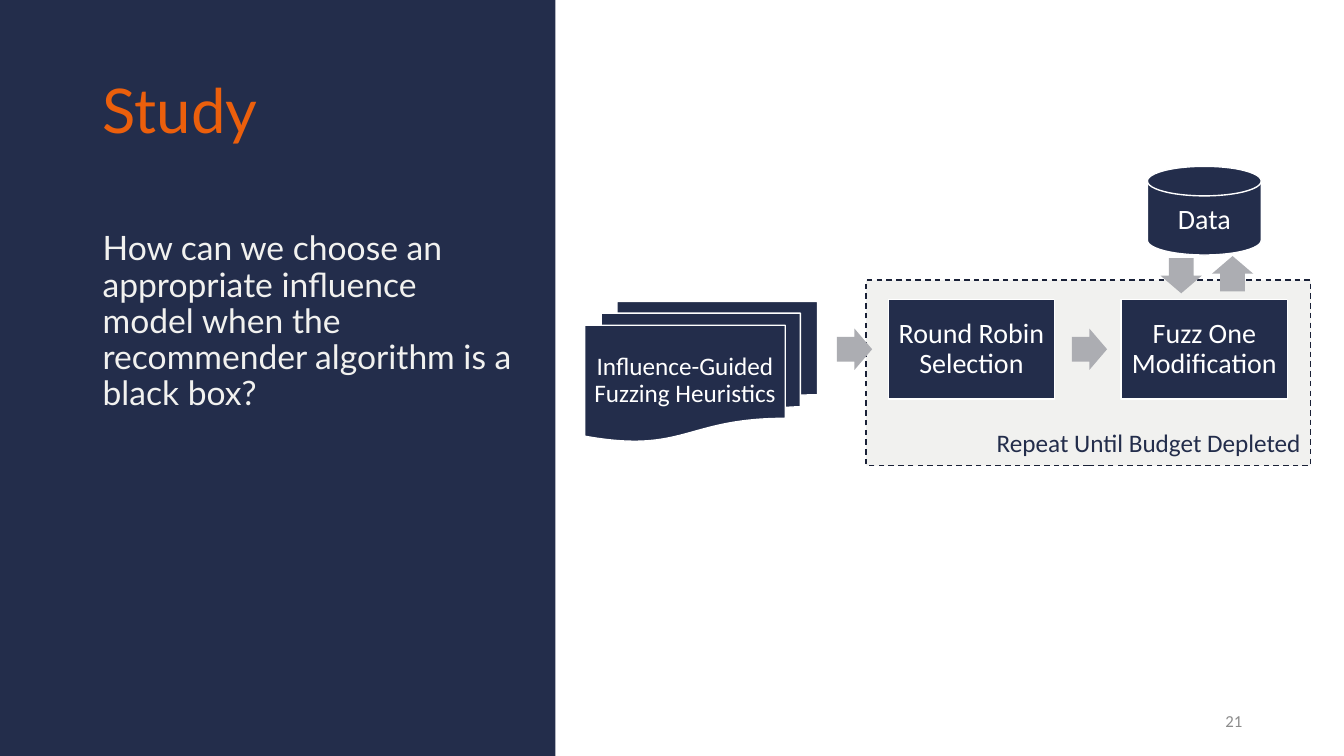
from dataclasses import dataclass

from pptx import Presentation
from pptx.dml.color import RGBColor
from pptx.enum.dml import MSO_LINE
from pptx.enum.shapes import MSO_SHAPE as Shape
from pptx.enum.text import MSO_ANCHOR as Anchor, PP_ALIGN as Align
from pptx.util import Pt

PX = 9144  # 100 px to the inch


@dataclass(frozen=True)
class Theme:
    navy: str = "232D4B"
    outline: str = "1A2137"
    orange: str = "EB5F0C"
    pale: str = "F1F1EF"
    white: str = "FFFFFF"
    arrow: str = "ACADB2"
    muted: str = "8C8C8C"
    heading_font: str = "Lato"
    body_font: str = "Calibri"
    title_size: int = 44
    question_size: int = 24
    step_size: int = 20
    label_size: int = 18
    number_size: int = 12


THEME = Theme()


def emu(*lengths):
    return [length * PX for length in lengths]


def write_text(shape, text, size, color, font=THEME.body_font, align=Align.CENTER,
               anchor=Anchor.MIDDLE, inset=(10, 5), line_spacing=None, space_before=0):
    frame = shape.text_frame
    frame.word_wrap = True
    frame.vertical_anchor = anchor
    frame.margin_left = frame.margin_right = inset[0] * PX
    frame.margin_top = frame.margin_bottom = inset[1] * PX
    paragraph = frame.paragraphs[0]
    paragraph.alignment = align
    paragraph.line_spacing = line_spacing
    paragraph.space_before = Pt(space_before)
    run = paragraph.add_run()
    run.text = text
    run.font.name = font
    run.font.size = Pt(size)
    run.font.color.rgb = RGBColor.from_string(color)


def add_text(slide, box, text, size, color, **text_format):
    write_text(slide.shapes.add_textbox(*emu(*box)), text, size, color, **text_format)


def add_block(slide, kind, box, fill, line=None):
    shape = slide.shapes.add_shape(kind, *emu(*box))
    shape.shadow.inherit = False
    shape.fill.solid()
    shape.fill.fore_color.rgb = RGBColor.from_string(fill)
    if line:
        shape.line.color.rgb = RGBColor.from_string(line)
        shape.line.width = Pt(1)
    else:
        shape.line.fill.background()
    return shape


def add_arrow(slide, left, top, rotation=0):
    arrow = add_block(slide, Shape.RIGHT_ARROW, (left, top, 35, 41), THEME.arrow)
    arrow.adjustments[0] = 0.6
    arrow.adjustments[1] = 0.5
    arrow.rotation = rotation


def add_node(slide, kind, box, text, size=THEME.step_size, **text_format):
    node = add_block(slide, kind, box, THEME.navy, THEME.white)
    write_text(node, text, size, THEME.white, **text_format)


def add_question_panel(slide, left, top, width, height):
    add_block(slide, Shape.RECTANGLE, (left, top, width, height), THEME.navy)
    add_text(slide, (left + 92, top + 40, 433, 145), "Study", THEME.title_size,
             THEME.orange, font=THEME.heading_font, align=Align.LEFT, line_spacing=0.9)
    add_text(slide, (left + 92, top + 225, 430, 417),
             "How can we choose an appropriate influence model when the "
             "recommender algorithm is a black box?",
             THEME.question_size, THEME.pale, font=THEME.heading_font, align=Align.LEFT,
             anchor=Anchor.TOP, line_spacing=0.9, space_before=10)


def add_budget_loop(slide, left, top, width, height):
    """Dashed frame holding the two repeated steps, with the data store above."""
    frame = add_block(slide, Shape.RECTANGLE, (left, top, width, height),
                      THEME.pale, THEME.outline)
    frame.line.dash_style = MSO_LINE.DASH
    step_left, step_top, step_pitch = left + 22, top + 19, 231
    for index, step in enumerate(("Round Robin Selection", "Fuzz One Modification")):
        add_node(slide, Shape.RECTANGLE,
                 (step_left + index * step_pitch, step_top, 165, 99),
                 step, inset=(8, 8), line_spacing=0.9)
        add_arrow(slide, left - 29 + index * (step_pitch + 2), step_top + 29)
    add_node(slide, Shape.FLOWCHART_MAGNETIC_DISK,
             (left + 279, top - 113, 113, 88), "Data")
    add_arrow(slide, left + 295, top - 25, rotation=90)
    add_arrow(slide, left + 346, top - 27, rotation=270)
    add_text(slide, (left, top + height - 43, width, 40), "Repeat Until Budget Depleted",
             THEME.label_size, THEME.navy, align=Align.RIGHT, anchor=Anchor.TOP)


def add_heuristics(slide, *box):
    add_node(slide, Shape.FLOWCHART_MULTIDOCUMENT, box,
             "Influence-Guided Fuzzing Heuristics", THEME.label_size,
             inset=(9, 9), line_spacing=0.9)


def add_slide_number(slide, *box):
    add_text(slide, box, "21", THEME.number_size, THEME.muted, align=Align.RIGHT)


def main():
    presentation = Presentation()
    presentation.slide_width, presentation.slide_height = emu(1333, 750)
    slide = presentation.slides.add_slide(presentation.slide_layouts[6])
    add_question_panel(slide, 0, 0, 551, 750)
    add_heuristics(slide, 580, 299, 231, 139)
    add_budget_loop(slide, 859, 278, 441, 184)
    add_slide_number(slide, 942, 695, 300, 40)
    presentation.save("out.pptx")


if __name__ == "__main__":
    main()
